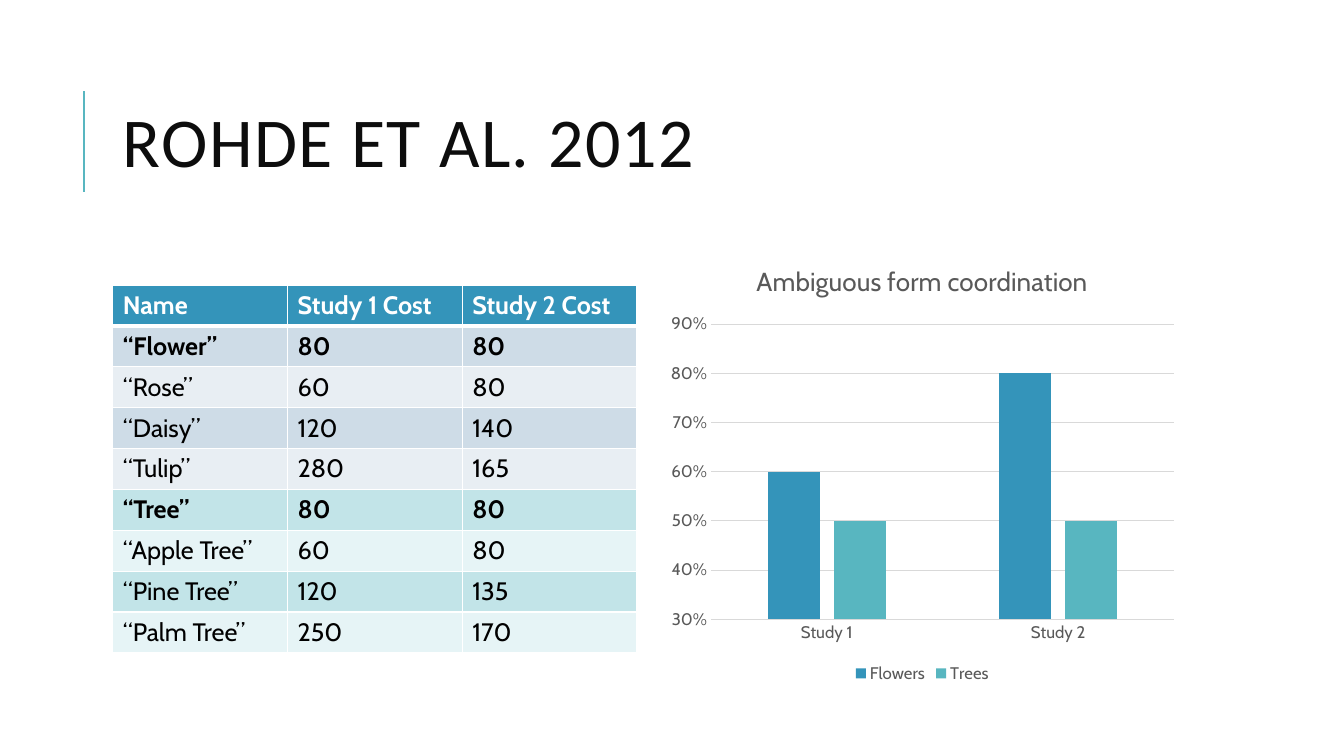
from dataclasses import dataclass

from lxml import etree
from pptx import Presentation
from pptx.chart.data import CategoryChartData
from pptx.dml.color import RGBColor
from pptx.enum.chart import XL_CHART_TYPE, XL_LEGEND_POSITION, XL_TICK_MARK
from pptx.enum.shapes import MSO_CONNECTOR
from pptx.enum.text import MSO_ANCHOR
from pptx.oxml.ns import qn
from pptx.util import Pt

COLUMN = XL_CHART_TYPE.COLUMN_CLUSTERED
BOTTOM = XL_LEGEND_POSITION.BOTTOM
NO_TICK = XL_TICK_MARK.NONE
STRAIGHT = MSO_CONNECTOR.STRAIGHT
MIDDLE = MSO_ANCHOR.MIDDLE


@dataclass(frozen=True)
class Theme:
    """Colours, fonts and type sizes of the slide."""
    ink: str = "0D0D0D"
    black: str = "000000"
    white: str = "FFFFFF"
    gray: str = "595959"
    grid: str = "D9D9D9"
    blue: str = "3494BA"
    teal: str = "58B6C0"
    blues: tuple = ("CEDCE7", "E8EEF3")
    teals: tuple = ("C2E4E8", "E6F4F6")
    head: str = "Calibri"
    body: str = "Cabin"
    title: float = 50
    cell: float = 18
    chart: float = 18.6
    label: float = 12


THEME = Theme()
HEADS = ("Name", "Study 1 Cost", "Study 2 Cost")
GROUPS = (
    (THEME.blues, (("“Flower”", 80, 80), ("“Rose”", 60, 80),
                   ("“Daisy”", 120, 140), ("“Tulip”", 280, 165))),
    (THEME.teals, (("“Tree”", 80, 80), ("“Apple Tree”", 60, 80),
                   ("“Pine Tree”", 120, 135), ("“Palm Tree”", 250, 170))),
)
STUDIES = ("Study 1", "Study 2")
SERIES = (("Flowers", (0.6, 0.8), THEME.blue), ("Trees", (0.5, 0.5), THEME.teal))


def style(font, face, size, color, bold=False):
    """Set the face, size, colour and weight of a font."""
    font.name, font.size, font.bold = face, Pt(size), bold
    font.color.rgb = RGBColor.from_string(color)


def add_title(slide, box, text):
    """Place the title text and the rule at its left."""
    x, y, w, h = box
    frame = slide.shapes.add_textbox(Pt(x), Pt(y), Pt(w), Pt(h)).text_frame
    frame.word_wrap, frame.vertical_anchor = True, MIDDLE
    para = frame.paragraphs[0]
    para.line_spacing = 0.8
    run = para.add_run()
    run.text = text
    style(run.font, THEME.head, THEME.title, THEME.ink)
    run.font._element.set("spc", "100")
    left = Pt(x - 20.6)
    rule = slide.shapes.add_connector(STRAIGHT, left, Pt(y + 91), left, Pt(y + 19))
    rule.line.color.rgb = RGBColor.from_string(THEME.teal)
    rule.line.width = Pt(1.5)
    etree.SubElement(rule._element.spPr, qn("a:effectLst"))


def add_edges(cell, base):
    """Draw white cell borders, with the bottom one at its own width."""
    props = cell._tc.get_or_add_tcPr()
    for side, width in (("L", 1), ("R", 1), ("T", 1), ("B", base)):
        edge = etree.SubElement(props, qn(f"a:ln{side}"), w=str(Pt(width)))
        fill = etree.SubElement(edge, qn("a:solidFill"))
        etree.SubElement(fill, qn("a:srgbClr"), val=THEME.white)


def add_costs(slide, box):
    """Place the cost table with a header and two tinted groups."""
    rows = [(HEADS, THEME.blue, THEME.white, True, 3)]
    for tints, items in GROUPS:
        for i, item in enumerate(items):
            rows.append((item, tints[i % 2], THEME.black, i == 0, 1))
    x, y, w, h = box
    table = slide.shapes.add_table(
        len(rows), len(HEADS), Pt(x), Pt(y), Pt(w), Pt(h)).table
    for col in table.columns:
        col.width = Pt(w / len(HEADS))
    for r, (item, tint, ink, bold, base) in enumerate(rows):
        table.rows[r].height = Pt(h / len(rows))
        for c, value in enumerate(item):
            cell = table.cell(r, c)
            add_edges(cell, base)
            cell.fill.solid()
            cell.fill.fore_color.rgb = RGBColor.from_string(tint)
            run = cell.text_frame.paragraphs[0].add_run()
            run.text = str(value)
            style(run.font, THEME.body, THEME.cell, ink, bold)


def add_chart(slide, box, title):
    """Place the column chart of the two studies."""
    data = CategoryChartData(number_format="0%")
    data.categories = STUDIES
    for name, values, _ in SERIES:
        data.add_series(name, values)
    chart = slide.shapes.add_chart(COLUMN, *map(Pt, box), data).chart
    style(chart.font, THEME.body, THEME.label, THEME.gray)
    chart.has_title = True
    run = chart.chart_title.text_frame.paragraphs[0].add_run()
    run.text = title
    style(run.font, THEME.body, THEME.chart, THEME.gray)
    chart.has_legend = True
    chart.legend.position, chart.legend.include_in_layout = BOTTOM, False
    cats, vals = chart.category_axis, chart.value_axis
    vals.minimum_scale, vals.maximum_scale, vals.major_unit = 0.3, 0.9, 0.1
    vals.tick_labels.number_format = "0%"
    vals.tick_labels.number_format_is_linked = False
    vals.format.line.fill.background()
    for axis in (cats, vals):
        axis.major_tick_mark = axis.minor_tick_mark = NO_TICK
    for part in (chart.legend, cats.tick_labels, vals.tick_labels):
        style(part.font, THEME.body, THEME.label, THEME.gray)
    for line in (cats.format.line, vals.major_gridlines.format.line):
        line.color.rgb = RGBColor.from_string(THEME.grid)
        line.width = Pt(0.75)
    plot = chart.plots[0]
    plot.gap_width, plot.overlap, plot.vary_by_categories = 219, -27, False
    for bars, (_, _, color) in zip(plot.series, SERIES):
        bars.invert_if_negative = False
        bars.format.fill.solid()
        bars.format.fill.fore_color.rgb = RGBColor.from_string(color)


def main():
    """Build the slide and save it."""
    deck = Presentation()
    deck.slide_width, deck.slide_height = Pt(960), Pt(540)
    slide = deck.slides.add_slide(deck.slide_layouts[6])
    add_title(slide, (80.6, 46, 765.4, 118), "ROHDE ET AL. 2012")
    add_costs(slide, (80.6, 203.6, 374.4, 262.8))
    add_chart(slide, (471.6, 174.2, 374.4, 316.8), "Ambiguous form coordination")
    deck.save("out.pptx")


if __name__ == "__main__":
    main()
